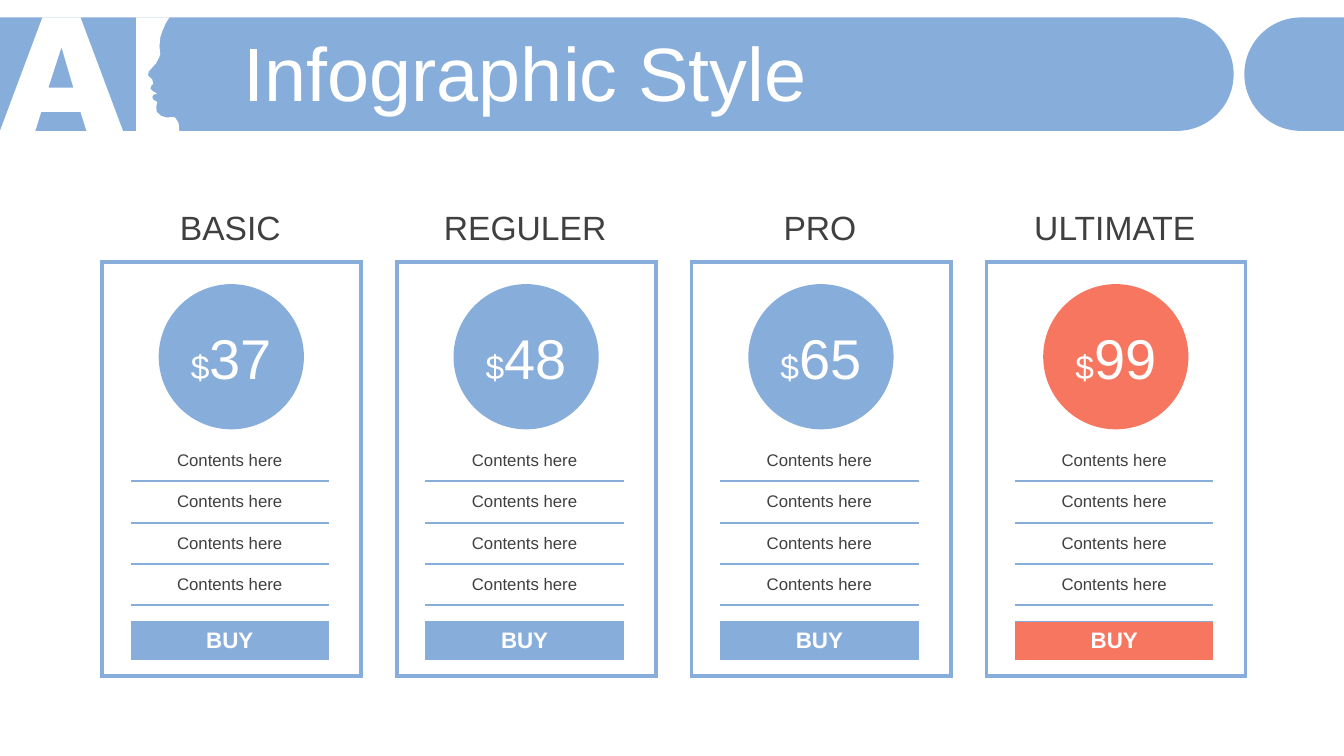
from dataclasses import dataclass
from math import cos, pi, sin

from lxml.etree import SubElement
from pptx import Presentation
from pptx.dml.color import RGBColor
from pptx.enum.shapes import MSO_SHAPE
from pptx.enum.text import MSO_ANCHOR, MSO_AUTO_SIZE, PP_ALIGN
from pptx.oxml.ns import qn
from pptx.util import Cm, Pt

TITLE = "Infographic Style"
FEATURES = ["Contents here"] * 4
ACTION = "BUY"
PLANS = [
    ("BASIC", "37", False),
    ("REGULER", "48", False),
    ("PRO", "65", False),
    ("ULTIMATE", "99", True),
]


@dataclass(frozen=True)
class Theme:
    font: str = "Arial"
    blue: str = "87ADDB"
    coral: str = "F77660"
    ink: str = "404040"
    white: str = "FFFFFF"
    title_size: int = 54
    price_size: int = 40
    plan_size: int = 24
    action_size: int = 16
    feature_size: int = 12
    frame_width: float = 3
    rule_width: float = 1.5


THEME = Theme()
SLIDE_WIDTH, SLIDE_HEIGHT = 33.87, 19.05
BAND_TOP, BAND_BOTTOM = 0.44, 3.3
CARD_LEFT, CARD_TOP, CARD_STEP = 2.57, 6.61, 7.43
COLUMNS = [0.72, 5, 0.81]
ROWS = [4.48, *[1.04] * len(FEATURES), 0.41, 0.96, 0.41]
ACTION_ROW = len(FEATURES) + 2
NO_STYLE = "{2D5ABB26-0587-4C30-8999-92F81FD0307C}"

LETTER = [(1.07, 0.44), (2.03, 0.44), (3.1, 3.3), (2.18, 3.3),
          (2.03, 2.82), (1.04, 2.82), (0.89, 3.3), (0, 3.3)]
LETTER_HOLE = [(1.55, 1.19), (1.22, 2.21), (1.85, 2.21)]
PROFILE = [(3.43, 0.44), (4.27, 0.44), (4.17, 0.6), (4.09, 0.79), (4.04, 0.94),
           (4.02, 1.17), (4.04, 1.37), (4.01, 1.45), (3.93, 1.6), (3.84, 1.7),
           (3.75, 1.8), (3.73, 1.9), (3.84, 2.01), (3.86, 2.11), (3.81, 2.16),
           (3.79, 2.23), (3.84, 2.29), (3.96, 2.36), (3.86, 2.39), (3.84, 2.45),
           (3.86, 2.51), (3.96, 2.57), (3.94, 2.69), (3.95, 2.82), (4.06, 2.92),
           (4.2, 2.96), (4.37, 2.95), (4.42, 2.97), (4.5, 3.1), (4.52, 3.3), (3.43, 3.3)]


def color(code):
    return RGBColor.from_string(code)


def paint(shape, code):
    shape.fill.solid()
    shape.fill.fore_color.rgb = color(code)
    shape.line.fill.background()
    shape.shadow.inherit = False


def write(paragraph, text, size, code, bold=False, align=PP_ALIGN.CENTER):
    paragraph.alignment = align
    run = paragraph.add_run()
    run.text = text
    run.font.name = THEME.font
    run.font.size = Pt(size)
    run.font.bold = bold
    run.font.color.rgb = color(code)


def draw_outline(shapes, contours, code):
    scaled = [[(Cm(x), Cm(y)) for x, y in contour] for contour in contours]
    builder = shapes.build_freeform(*scaled[0][0])
    builder.add_line_segments(scaled[0][1:], close=True)
    for contour in scaled[1:]:
        builder.move_to(*contour[0])
        builder.add_line_segments(contour[1:], close=True)
    paint(builder.convert_to_shape(), code)


def draw_band(shapes, flat_x, round_x):
    radius = (BAND_BOTTOM - BAND_TOP) / 2
    direction = 1 if round_x > flat_x else -1
    center_x, center_y = round_x - direction * radius, BAND_TOP + radius
    angles = [pi * step / 48 - pi / 2 for step in range(49)]
    cap = [(center_x + direction * radius * cos(a), center_y + radius * sin(a)) for a in angles]
    draw_outline(shapes, [[(flat_x, BAND_TOP), *cap, (flat_x, BAND_BOTTOM)]], THEME.blue)


def border_cell(cell, row, column):
    last = len(ROWS) - 1
    widths = {}
    if column == 0:
        widths["a:lnL"] = THEME.frame_width
    if column == 2 or row == 0:
        widths["a:lnR"] = THEME.frame_width
    if row == 0:
        widths["a:lnT"] = THEME.frame_width
    elif column == 1 and 2 <= row <= len(FEATURES) + 1:
        widths["a:lnT"] = THEME.rule_width
    if row == last:
        widths["a:lnB"] = THEME.frame_width
    elif column == 1 and 1 <= row <= len(FEATURES):
        widths["a:lnB"] = THEME.rule_width
    properties = cell._tc.get_or_add_tcPr()
    for tag, width in widths.items():
        line = SubElement(properties, qn(tag), w=str(Pt(width)))
        SubElement(SubElement(line, qn("a:solidFill")), qn("a:srgbClr"), val=THEME.blue)


def draw_card(shapes, left, accent):
    frame = shapes.add_table(len(ROWS), len(COLUMNS), Cm(left), Cm(CARD_TOP),
                             Cm(sum(COLUMNS)), Cm(sum(ROWS)))
    card = frame.table
    card.first_row = card.horz_banding = False
    card._tbl.tblPr.find(qn("a:tableStyleId")).text = NO_STYLE
    for column, width in zip(card.columns, COLUMNS):
        column.width = Cm(width)
    for row, height in zip(card.rows, ROWS):
        row.height = Cm(height)
    labels = {row: (text, THEME.feature_size, THEME.ink) for row, text in enumerate(FEATURES, 1)}
    labels[ACTION_ROW] = (ACTION, THEME.action_size, THEME.white, True)
    for row in range(len(ROWS)):
        for column in range(len(COLUMNS)):
            cell = card.cell(row, column)
            cell.margin_top = cell.margin_bottom = 0
            cell.vertical_anchor = MSO_ANCHOR.MIDDLE
            border_cell(cell, row, column)
            cell.fill.background()
            paragraph = cell.text_frame.paragraphs[0]
            if column == 1 and row in labels:
                write(paragraph, *labels[row])
            else:
                SubElement(paragraph._p, qn("a:endParaRPr"), sz="100")
    action = card.cell(ACTION_ROW, 1)
    action.fill.solid()
    action.fill.fore_color.rgb = color(accent)
    card.cell(0, 0).merge(card.cell(0, 2))
    for column in (0, 2):
        card.cell(2, column).merge(card.cell(len(FEATURES), column))


def draw_plan(shapes, left, name, price, featured):
    accent = THEME.coral if featured else THEME.blue
    heading = shapes.add_textbox(Cm(left + 0.53), Cm(5.08), Cm(5.41), Cm(1.27)).text_frame
    heading.word_wrap = True
    heading.margin_left = heading.margin_right = 0
    write(heading.paragraphs[0], name, THEME.plan_size, THEME.ink)
    draw_card(shapes, left, accent)
    badge = shapes.add_shape(MSO_SHAPE.OVAL, Cm(left + 1.43), Cm(7.16), Cm(3.66), Cm(3.66))
    paint(badge, accent)
    badge.text_frame.vertical_anchor = MSO_ANCHOR.MIDDLE
    amount = badge.text_frame.paragraphs[0]
    write(amount, "$", THEME.plan_size, THEME.white)
    write(amount, price, THEME.price_size, THEME.white)


def place_title(shapes):
    title = shapes.title
    title.left, title.top, title.width, title.height = Cm(5.89), Cm(0.94), Cm(27.15), Cm(2.01)
    title.text_frame.auto_size = MSO_AUTO_SIZE.NONE
    title.text_frame.vertical_anchor = MSO_ANCHOR.MIDDLE
    paragraph = title.text_frame.paragraphs[0]
    paragraph.line_spacing = 0.9
    write(paragraph, TITLE, THEME.title_size, THEME.white, align=PP_ALIGN.LEFT)
    shapes._spTree.append(title._element)


def main():
    deck = Presentation()
    deck.slide_width, deck.slide_height = Cm(SLIDE_WIDTH), Cm(SLIDE_HEIGHT)
    shapes = deck.slides.add_slide(deck.slide_layouts[5]).shapes
    draw_band(shapes, 0, 31.09)
    draw_outline(shapes, [LETTER, LETTER_HOLE, PROFILE], THEME.white)
    draw_band(shapes, SLIDE_WIDTH, 31.36)
    place_title(shapes)
    for index, plan in enumerate(PLANS):
        draw_plan(shapes, CARD_LEFT + index * CARD_STEP, *plan)
    deck.save("out.pptx")


if __name__ == "__main__":
    main()
